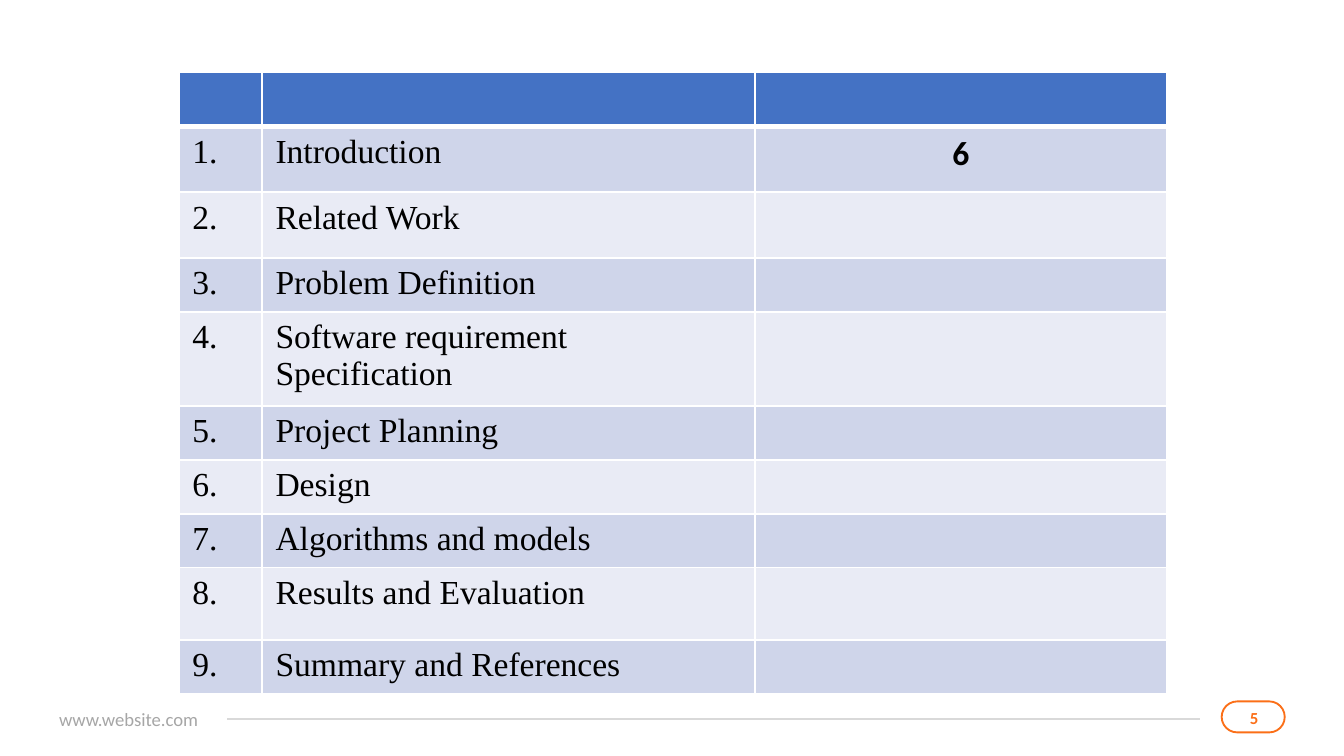
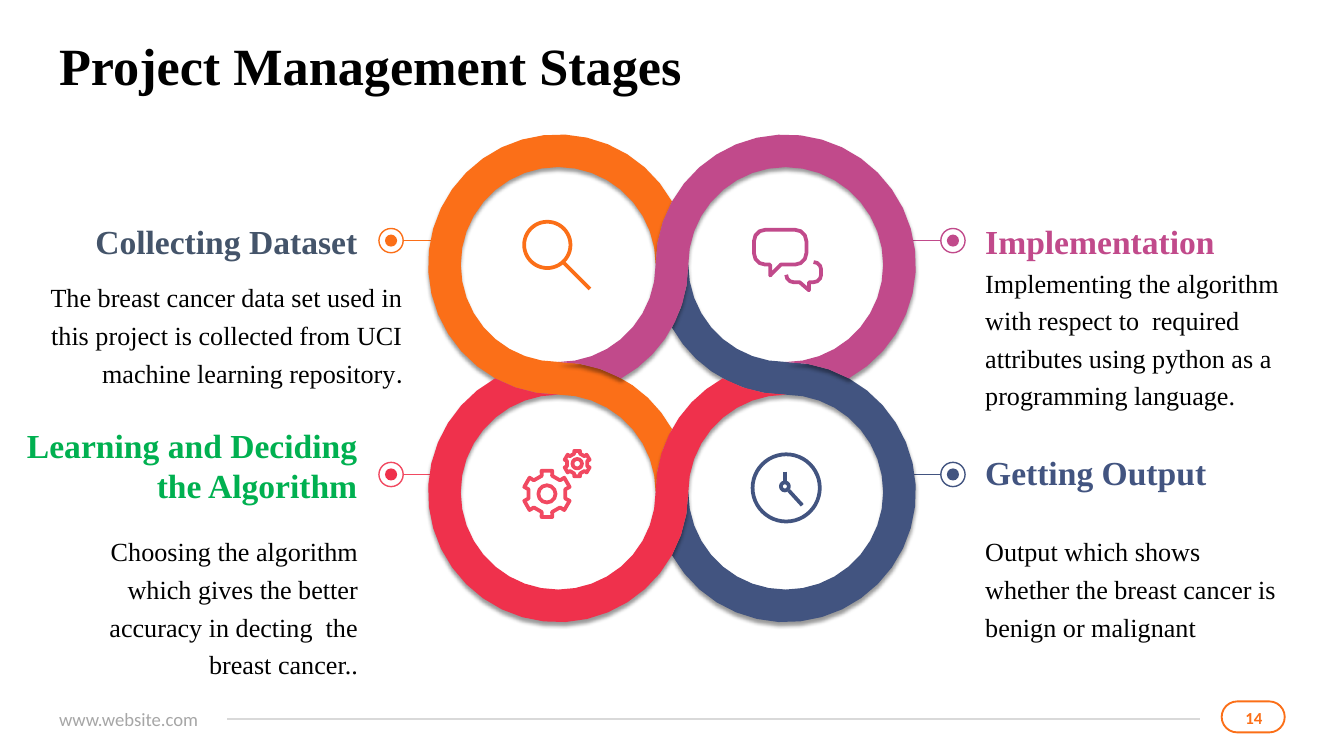
"""Build a contents slide and a project stages slide."""
from math import acos, ceil, cos, degrees, radians, sin

from lxml.etree import SubElement
from pptx import Presentation
from pptx.dml.color import RGBColor
from pptx.enum.shapes import MSO_CONNECTOR, MSO_SHAPE
from pptx.enum.text import MSO_ANCHOR, MSO_AUTO_SIZE, PP_ALIGN
from pptx.oxml.ns import qn
from pptx.util import Pt

WHITE = RGBColor(0xFF, 0xFF, 0xFF)
BLACK = RGBColor(0x00, 0x00, 0x00)
ORANGE = RGBColor(0xFB, 0x6F, 0x18)
PURPLE = RGBColor(0xC1, 0x4A, 0x8B)
NAVY = RGBColor(0x42, 0x54, 0x80)
RED = RGBColor(0xEF, 0x31, 0x4C)
PINK = RGBColor(0xF1, 0x49, 0x61)
SLATE = RGBColor(0x44, 0x54, 0x6A)
GREEN = RGBColor(0x00, 0xB0, 0x50)
RULE_GREY = RGBColor(0xD9, 0xD9, 0xD9)
TEXT_GREY = RGBColor(0xA6, 0xA6, 0xA6)
HEADER_BLUE = RGBColor(0x44, 0x72, 0xC4)
BAND_DARK = RGBColor(0xCF, 0xD5, 0xEA)
BAND_LIGHT = RGBColor(0xE9, 0xEB, 0xF5)

SERIF = "Times New Roman"
SANS = "Calibri"
WEBSITE = "www.website.com"

TABLE_BOX = (95.8, 38.9, 529.2, 326.9)
COLUMN_WIDTHS = (44.6, 264.2, 220.4)
HEADER_HEIGHT = 13.7
CONTENTS = [
    ("Introduction", "6", 35.3),
    ("Related Work", "", 35.3),
    ("Problem Definition", "", 28.8),
    ("Software requirement Specification", "", 28.8),
    ("Project Planning", "", 28.8),
    ("Design", "", 28.8),
    ("Algorithms and models", "", 28.8),
    ("Results and Evaluation", "", 38.9),
    ("Summary and References", "", 28.8),
]

TITLE = "Project Management Stages"
CENTER_X, CENTER_Y = 360, 202.7
OUTER, INNER = 69.7, 52.2
MARKER_REACH, RING_SIZE, DOT_SIZE = 150.5, 13, 6.5
LINE_START, LINE_END = 112.3, 144
MARKER_ROWS = (128.9, 254.2)
BANDS = [(ORANGE, 0), (NAVY, 2), (PURPLE, 1), (RED, 3)]
STAGES = [
    dict(side=1, row=1, line=NAVY, dot=NAVY,
         heading="Getting Output", colour=NAVY, heading_box=(527.8, 241.9, 160.6, 21.8),
         body="Output which shows whether the breast cancer is benign or malignant",
         body_box=(527.8, 283.7, 160.6, 61)),
    dict(side=1, row=0, line=PURPLE, dot=PURPLE,
         heading="Implementation", colour=PURPLE, heading_box=(527.8, 118.1, 160.6, 21.8),
         body="Implementing the algorithm with respect to  required "
              "attributes using python as a programming language.",
         body_box=(527.8, 139.7, 160.6, 81.4)),
    dict(side=-1, row=1, line=PINK, dot=RED,
         heading="Learning and Deciding the Algorithm", colour=GREEN,
         heading_box=(13.7, 227.5, 177.8, 43.6),
         body="Choosing the algorithm which gives the better accuracy "
              "in decting  the breast cancer..",
         body_box=(31.7, 283.7, 160.2, 81.4)),
    dict(side=-1, row=0, line=ORANGE, dot=ORANGE,
         heading="Collecting Dataset", colour=SLATE, heading_box=(31.7, 118.1, 159.8, 21.8),
         body="The breast cancer data set used in this project is collected "
              "from UCI machine learning repository",
         ending=".", body_box=(17.3, 147.6, 198.4, 61)),
]


def points(values):
    return [Pt(value) for value in values]


def paint(shape, fill=None, line=None, width=1):
    shape.shadow.inherit = False
    if fill is None:
        shape.fill.background()
    else:
        shape.fill.solid()
        shape.fill.fore_color.rgb = fill
    if line is None:
        shape.line.fill.background()
    else:
        shape.line.color.rgb = line
        shape.line.width = Pt(width)


def add_preset(slide, kind, box, **colours):
    shape = slide.shapes.add_shape(kind, *points(box))
    paint(shape, **colours)
    return shape


def add_circle(slide, x, y, size, **colours):
    add_preset(slide, MSO_SHAPE.OVAL, (x - size / 2, y - size / 2, size, size), **colours)


def add_line(slide, start, end, colour, width):
    line = slide.shapes.add_connector(MSO_CONNECTOR.STRAIGHT, *points(start + end))
    line.line.color.rgb = colour
    line.line.width = Pt(width)
    SubElement(line._element.spPr, qn("a:effectLst"))


def add_outline(slide, corners, close=True, **colours):
    corners = [points(corner) for corner in corners]
    builder = slide.shapes.build_freeform(*corners[0], scale=1.0)
    builder.add_line_segments(corners[1:], close=close)
    shape = builder.convert_to_shape()
    paint(shape, **colours)
    return shape


def format_runs(paragraph, font, size, colour, bold=False):
    for run in paragraph.runs:
        run.font.name = font
        run.font.size = Pt(size)
        run.font.color.rgb = colour
        run.font.bold = bold


def clear_margins(frame):
    frame.margin_left = frame.margin_top = frame.margin_right = frame.margin_bottom = 0
    frame.word_wrap = True


def add_text(slide, box, text, font, size, colour, bold=False, align=PP_ALIGN.LEFT,
             anchor=MSO_ANCHOR.TOP, spacing=None, grow=True):
    frame = slide.shapes.add_textbox(*points(box)).text_frame
    clear_margins(frame)
    frame.auto_size = MSO_AUTO_SIZE.SHAPE_TO_FIT_TEXT if grow else MSO_AUTO_SIZE.NONE
    frame.vertical_anchor = anchor
    frame.text = text
    paragraph = frame.paragraphs[0]
    paragraph.alignment = align
    paragraph.line_spacing = spacing
    format_runs(paragraph, font, size, colour, bold)
    return paragraph


def add_footer(slide, number):
    badge = add_preset(slide, MSO_SHAPE.ROUNDED_RECTANGLE, (654.5, 375.8, 33.8, 16.6), line=ORANGE)
    badge.adjustments[0] = 0.5
    add_line(slide, (121.7, 385.2), (643, 385.2), RULE_GREY, 0.75)
    add_text(slide, (31.7, 379.4, 81.4, 12.2), WEBSITE, SANS, 10, TEXT_GREY,
             anchor=MSO_ANCHOR.MIDDLE)
    add_text(slide, (664.6, 379.4, 14.4, 10.1), str(number), SANS, 9, ORANGE, True,
             PP_ALIGN.CENTER, MSO_ANCHOR.MIDDLE, grow=False)


def style_cell(cell, fill, bottom_width=1):
    properties = cell._tc.get_or_add_tcPr()
    for side, width in (("L", 1), ("R", 1), ("T", 1), ("B", bottom_width)):
        border = SubElement(properties, qn(f"a:ln{side}"), w=str(Pt(width)))
        SubElement(SubElement(border, qn("a:solidFill")), qn("a:srgbClr"), val=str(WHITE))
    cell.fill.solid()
    cell.fill.fore_color.rgb = fill


def add_contents_table(slide):
    table = slide.shapes.add_table(len(CONTENTS) + 1, 3, *points(TABLE_BOX)).table
    for column, width in zip(table.columns, COLUMN_WIDTHS):
        column.width = Pt(width)
    table.rows[0].height = Pt(HEADER_HEIGHT)
    for cell in table.rows[0].cells:
        style_cell(cell, HEADER_BLUE, 3)
    for number, (topic, page, height) in enumerate(CONTENTS, 1):
        row = table.rows[number]
        row.height = Pt(height)
        for cell, text in zip(row.cells, (f"{number}.", topic, page)):
            style_cell(cell, BAND_DARK if number % 2 else BAND_LIGHT)
            if not text:
                continue
            cell.text = text
            is_page = text == page
            paragraph = cell.text_frame.paragraphs[0]
            paragraph.alignment = PP_ALIGN.CENTER if is_page else PP_ALIGN.LEFT
            format_runs(paragraph, SANS if is_page else SERIF, 18, BLACK, is_page)


def polar(x, y, radius, angle):
    return x + radius * cos(radians(angle)), y + radius * sin(radians(angle))


def arc(x, y, radius, start, end):
    step = 10 if radius > 20 else 30
    count = ceil(abs(end - start) / step)
    return [polar(x, y, radius, start + (end - start) * i / count) for i in range(count + 1)]


def band_outline(turns):
    """Trace three quarters of one ring and a quarter of the next, turned about the centre."""
    half = (OUTER + INNER) / 2
    taper = degrees(acos(half / OUTER))
    outline = (arc(half, -half, OUTER, 180, 180 + taper)
               + arc(-half, -half, OUTER, -taper, -270)[1:]
               + arc(-half, half, INNER, -90, 0)[1:]
               + arc(half, half, OUTER, 180, 180 + taper)[1:]
               + arc(-half, half, OUTER, -taper, -90)[1:]
               + arc(-half, -half, INNER, -270, 0)[1:-1])
    for _ in range(turns):
        outline = [(-y, x) for x, y in outline]
    return [(CENTER_X + x, CENTER_Y + y) for x, y in outline]


def add_band(slide, colour, turns):
    shape = add_outline(slide, band_outline(turns), fill=colour)
    effects = shape._element.spPr.find(qn("a:effectLst"))
    shadow = SubElement(effects, qn("a:outerShdw"), blurRad=str(Pt(2)), dist=str(Pt(2)),
                        dir="5400000", algn="t", rotWithShape="0")
    tint = SubElement(shadow, qn("a:srgbClr"), val=str(BLACK))
    SubElement(tint, qn("a:alpha"), val="40000")


def add_gear(slide, x, y, scale):
    tooth = ((10.1, -16), (12.7, -13), (12.7, 13), (10.1, 16))
    outline = [polar(x, y, radius * scale, turn + offset)
               for turn in range(-90, 270, 60) for radius, offset in tooth]
    add_outline(slide, outline, line=PINK, width=2)
    add_circle(slide, x, y, 9.2 * scale, line=PINK, width=2)


def add_icons(slide):
    add_circle(slide, 293.2, 131.2, 24.8, line=ORANGE, width=2)
    add_line(slide, (301.7, 140.4), (316.1, 154.8), ORANGE, 2)
    left, top, right, bottom, corner = 403.9, 123.1, 432, 141.8, 6.1
    bubble = (arc(left + corner, top + corner, corner, 180, 270)
              + arc(right - corner, top + corner, corner, 270, 360)
              + arc(right - corner, bottom - corner, corner, 0, 90)
              + [(418.3, bottom), (412.6, 147.6), (412.6, bottom)]
              + arc(left + corner, bottom - corner, corner, 90, 180))
    reply = (arc(425.2, 147.2, 4, 180, 90)
             + [(428.4, 151.2), (433.4, 155.5), (433.4, 151.2)]
             + arc(435.9, 147.2, 4, 90, 0) + arc(435.9, 144.4, 4, 0, -90))
    add_outline(slide, bubble, line=PURPLE, width=2)
    add_outline(slide, reply, close=False, line=PURPLE, width=2)
    add_gear(slide, 293, 264.6, 1)
    add_gear(slide, 309.2, 248.4, 0.55)
    add_circle(slide, 421.2, 261.4, 36, line=NAVY, width=2)
    add_line(slide, (429.8, 270.7), (422.6, 262.8), NAVY, 2)
    add_circle(slide, 420.5, 260.6, 4.3, line=NAVY, width=2)
    add_line(slide, (420.5, 252.7), (420.5, 258.5), NAVY, 2)


def add_stage_text(slide, stage):
    align = PP_ALIGN.LEFT if stage["side"] > 0 else PP_ALIGN.RIGHT
    body = add_text(slide, stage["body_box"], stage["body"], SERIF, 14, BLACK,
                    align=align, spacing=1.2)
    if "ending" in stage:
        body.add_run().text = stage["ending"]
        format_runs(body, SERIF, 14, BLACK)
        body.runs[-1].font.name = SANS
    add_text(slide, stage["heading_box"], stage["heading"], SERIF, 18, stage["colour"],
             True, align)


def add_stages(slide):
    for stage in STAGES:
        y = MARKER_ROWS[stage["row"]]
        start, end = (CENTER_X + stage["side"] * reach for reach in (LINE_START, LINE_END))
        add_line(slide, (start, y), (end, y), stage["line"], 0.75)
    for stage in STAGES:
        add_stage_text(slide, stage)
    for colour, turns in BANDS:
        add_band(slide, colour, turns)
    add_icons(slide)
    for stage in STAGES:
        x, y = CENTER_X + stage["side"] * MARKER_REACH, MARKER_ROWS[stage["row"]]
        add_circle(slide, x, y, RING_SIZE, line=stage["line"], width=0.75)
        add_circle(slide, x, y, DOT_SIZE, fill=stage["dot"])


def set_title(slide, text):
    title = slide.shapes.title
    title.left, title.top, title.width, title.height = points((31.7, 21.6, 656.6, 31.7))
    frame = title.text_frame
    clear_margins(frame)
    frame.auto_size = MSO_AUTO_SIZE.NONE
    frame.vertical_anchor = MSO_ANCHOR.TOP
    frame.text = text
    paragraph = frame.paragraphs[0]
    paragraph.alignment = PP_ALIGN.LEFT
    paragraph.line_spacing = 0.9
    format_runs(paragraph, SERIF, 28, BLACK, True)


def main():
    presentation = Presentation()
    presentation.slide_width, presentation.slide_height = Pt(720), Pt(405)
    title_only, blank = presentation.slide_layouts[5], presentation.slide_layouts[6]

    contents_slide = presentation.slides.add_slide(blank)
    add_footer(contents_slide, 5)
    add_contents_table(contents_slide)

    stages_slide = presentation.slides.add_slide(title_only)
    add_footer(stages_slide, 14)
    set_title(stages_slide, TITLE)
    add_stages(stages_slide)
    presentation.save("out.pptx")


if __name__ == "__main__":
    main()
